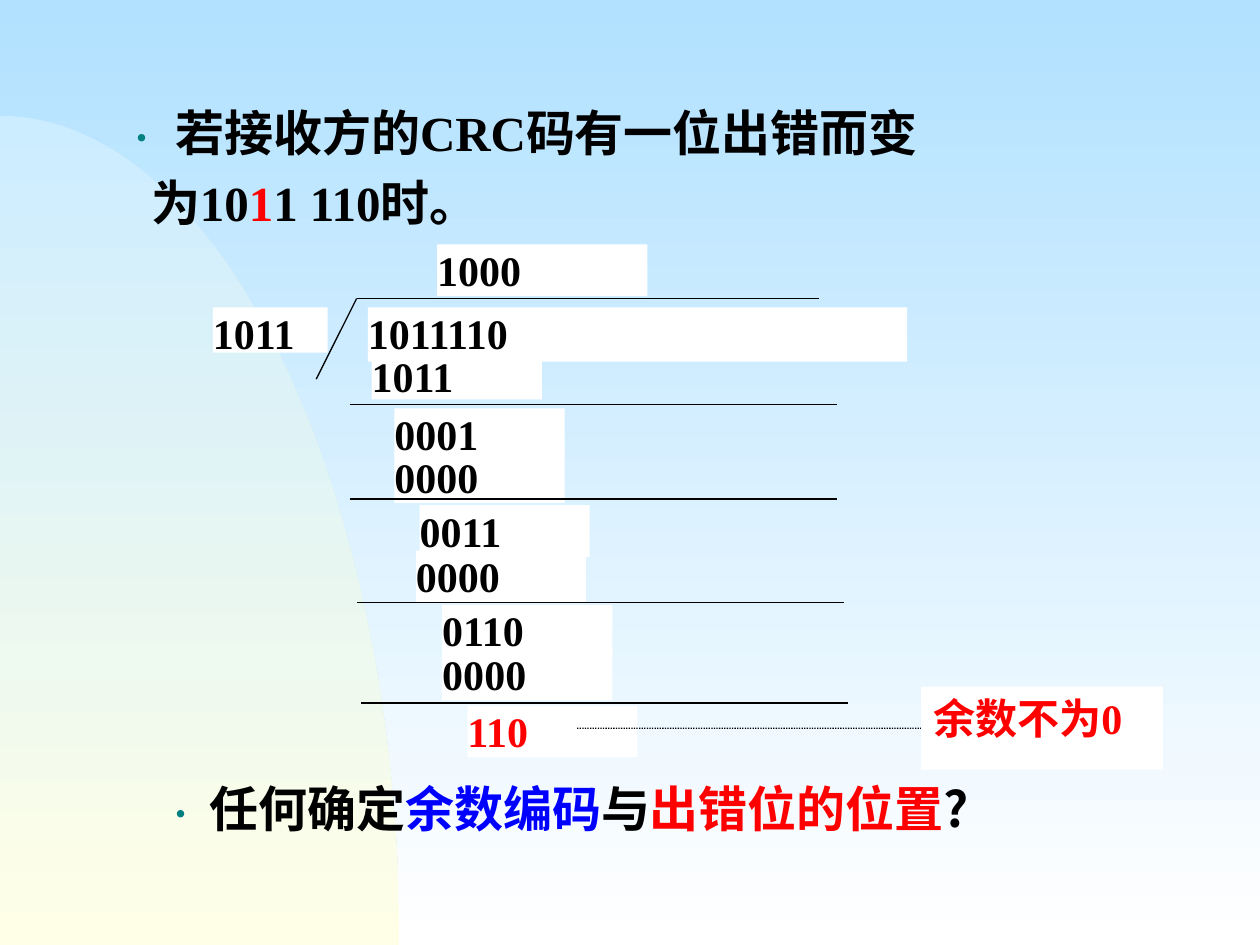
from pptx import Presentation
from pptx.dml.color import RGBColor
from pptx.enum.dml import MSO_LINE
from pptx.enum.shapes import MSO_CONNECTOR, MSO_SHAPE
from pptx.enum.text import MSO_ANCHOR, PP_ALIGN
from pptx.oxml.ns import qn
from pptx.util import Pt
from lxml.etree import SubElement

BLACK = RGBColor(0, 0, 0)
WHITE = RGBColor(255, 255, 255)
RED = RGBColor(255, 0, 0)
BLUE = RGBColor(0, 0, 255)
TEAL = RGBColor(0, 128, 128)
SKY = RGBColor(0xB1, 0xE1, 0xFF)
PALE = RGBColor(0xCC, 0xEC, 0xFF)
CREAM = RGBColor(0xFF, 0xFF, 0xE7)

SERIF, SANS, HAN = "Times New Roman", "Arial", "Noto Sans CJK SC"
DOT = {"name": SANS, "size": Pt(20), "bold": False}
DIGIT = {"name": SERIF, "size": Pt(24), "bold": True}
LEAD = {"name": SERIF, "size": Pt(28), "bold": True}
ASK = {"name": HAN, "size": Pt(28), "bold": True}
GAP = {"name": HAN, "size": Pt(28), "bold": False}


class Board:
    def __init__(self, deck):
        self.slide = deck.slides.add_slide(deck.slide_layouts[6])
        self.items = self.slide.shapes

    def fade(self, fill, top, base):
        fill.gradient()
        fill.gradient_angle = 270
        for stop, color in zip(fill.gradient_stops, (top, base)):
            stop.color.rgb = color

    def curve(self, wide, top, base):
        tall = base - top
        dots = []
        for step in range(1, 65):
            t = step / 64
            x = wide * (3 * 0.55 * t * (1 - t) ** 2 + 3 * t**2 * (1 - t) + t**3)
            y = top + tall * (3 * 0.45 * t**2 * (1 - t) + t**3)
            dots.append((Pt(x), Pt(y)))
        pen = self.items.build_freeform(0, Pt(top))
        pen.add_line_segments(dots + [(0, Pt(base))], close=True)
        hill = pen.convert_to_shape()
        hill.shadow.inherit = False
        hill.line.fill.background()
        self.fade(hill.fill, PALE, CREAM)

    def put(self, shape, runs, pad, form):
        frame = shape.text_frame
        frame.word_wrap = True
        frame.vertical_anchor = MSO_ANCHOR.TOP
        for side, size in zip(("left", "top", "right", "bottom"), pad * 2):
            setattr(frame, "margin_" + side, Pt(size))
        para = frame.paragraphs[0]
        for key, value in form.items():
            setattr(para, key, value)
        for text, color, style in runs:
            run = para.add_run()
            run.text = text
            for key, value in style.items():
                setattr(run.font, key, value)
            run.font.color.rgb = color
            SubElement(run.font._element, qn("a:ea")).set("typeface", HAN)
        return para

    def box(self, text, x, y, w=97.2, h=29.5, color=BLACK, pad=(0, 0)):
        rect = self.items.add_shape(MSO_SHAPE.RECTANGLE, Pt(x), Pt(y), Pt(w), Pt(h))
        rect.shadow.inherit = False
        rect.fill.solid()
        rect.fill.fore_color.rgb = WHITE
        rect.line.fill.background()
        self.put(rect, [(text, color, DIGIT)], pad, {"alignment": PP_ALIGN.LEFT})
        return rect

    def text(self, runs, x, y, w, h, form):
        area = self.items.add_textbox(Pt(x), Pt(y), Pt(w), Pt(h))
        return self.put(area, runs, (7.2, 3.6), form)

    def line(self, x, y, right, base, dash=None):
        rule = self.items.add_connector(
            MSO_CONNECTOR.STRAIGHT, Pt(x), Pt(y), Pt(right), Pt(base))
        rule.line.color.rgb = BLACK
        rule.line.width = Pt(0.75)
        if dash:
            rule.line.dash_style = dash
        SubElement(rule._element.spPr, qn("a:effectLst"))
        return rule


def main():
    deck = Presentation()
    deck.slide_width, deck.slide_height = Pt(720), Pt(540)
    board = Board(deck)
    board.fade(board.slide.background.fill, SKY, WHITE)
    board.curve(228.2, 66.2, 540)

    board.box("1011110", 210.2, 175.7, 308.2, 31)
    board.box("1000", 249.8, 139.7, 120.2)
    board.box("1011", 121.7, 175.7, 65.5, 25.9)
    for text, x, y, h in (
        ("1011", 212.4, 200.2, 28.1),
        ("0001", 225.4, 233.3, 28.1),
        ("0000", 225.4, 257.8, 29.5),
        ("0011", 239.8, 288.7, 29.5),
        ("0000", 237.6, 314.6, 29.5),
        ("0110", 252.7, 345.6, 29.5),
        ("0000", 252.7, 370.8, 29.5),
    ):
        board.box(text, x, y, h=h)
    board.box("110", 267.1, 403.2, color=RED)
    note = board.box("余数不为0", 526.3, 392.4, 138.2, 47.5, RED, (7.2, 3.6))

    board.line(203.8, 170.6, 468, 170.6)
    board.line(203.8, 170.6, 180.7, 216.7)
    for x, y in ((200, 231.1), (200, 285.1), (204, 344.2), (206.2, 401.8)):
        board.line(x, y, x + 278.4, y)
    link = board.line(329.8, 416.2, 526.3, 416.2, MSO_LINE.ROUND_DOT)
    link.end_connect(note, 1)

    lead = board.text(
        [("•  ", TEAL, DOT),
         ("若接收方的CRC码有一位出错而变为10", BLACK, LEAD),
         ("1", RED, LEAD),
         ("1 110时。", BLACK, LEAD)],
        64.1, 48.2, 491, 87.8, {"line_spacing": 1.2})
    for key, value in {"marL": Pt(15.1), "indent": -Pt(15.1)}.items():
        lead._p.get_or_add_pPr().set(key, str(value))
    board.text(
        [("•", TEAL, DOT),
         (" ", TEAL, GAP),
         ("任何确定", BLACK, ASK),
         ("余数编码", BLUE, ASK),
         ("与", BLACK, ASK),
         ("出错位的位置", RED, ASK),
         ("?", BLACK, ASK)],
        86.4, 450.7, 469.4, 31, {"line_spacing": 0.7})
    deck.save("out.pptx")


if __name__ == "__main__":
    main()
